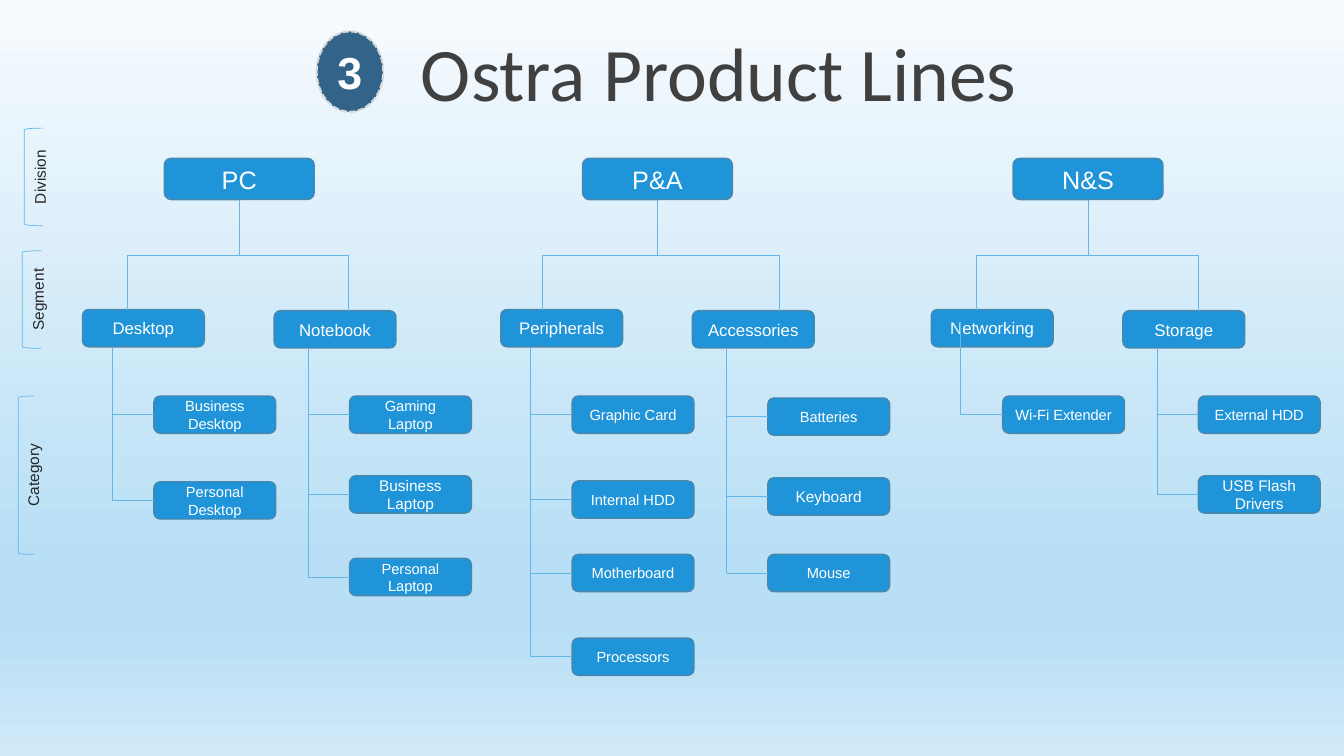
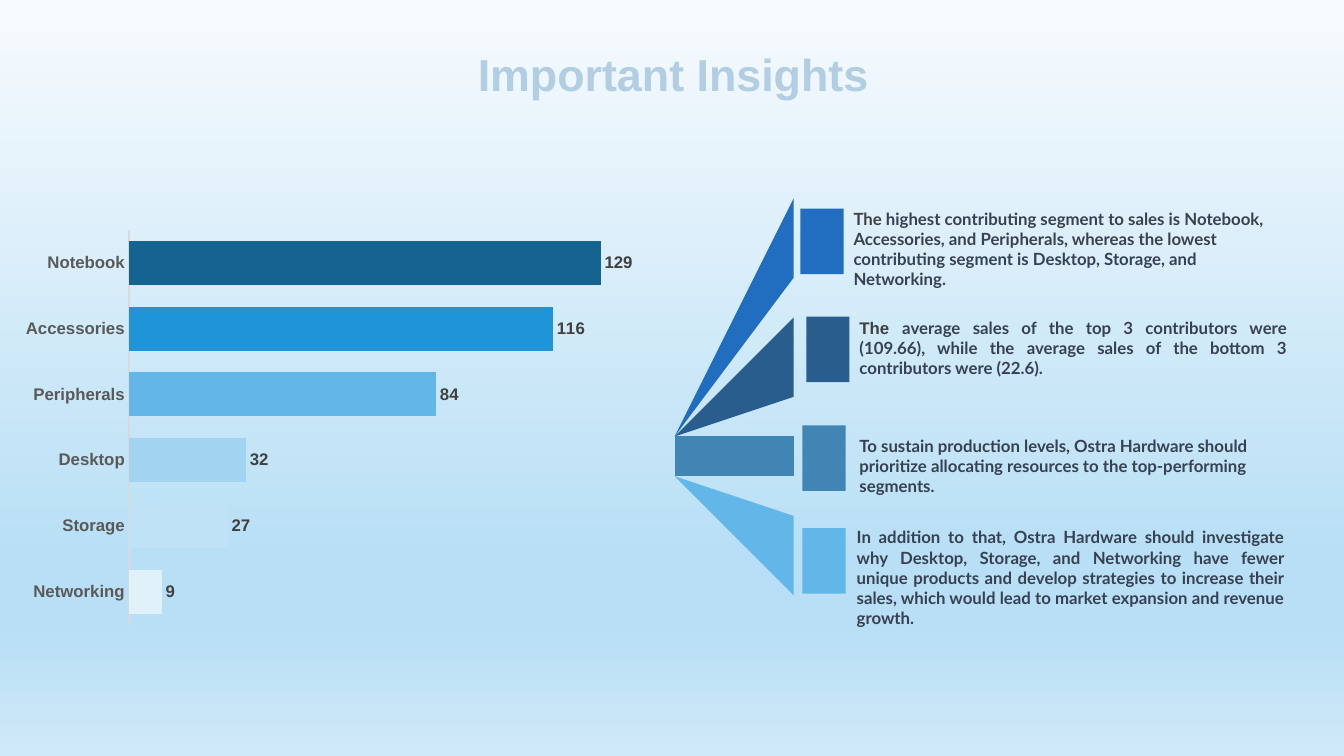
import copy

import lxml.etree
import pptx
import pptx.chart.data
import pptx.dml.color
import pptx.enum.chart
import pptx.enum.shapes
import pptx.enum.text
import pptx.oxml.ns
import pptx.util

Cm = pptx.util.Cm
Pt = pptx.util.Pt
qn = pptx.oxml.ns.qn
SHAPE = pptx.enum.shapes.MSO_SHAPE
ALIGN = pptx.enum.text.PP_ALIGN
ANCHOR = pptx.enum.text.MSO_ANCHOR

BLUE = "2094D8"
SKY = "62B7E8"
STEEL = "4185B5"
BADGE = "316488"
GREY = "404040"
SLATE = "374151"
PALE_GREY = "D9D9D9"
WHITE = "FFFFFF"
BACKGROUND_STOPS = [(0, "F7FBFE"), (0.74, "B8DFF5"), (0.83, "B8DFF5"), (1, "D0E9F8")]


def color(value):
    return pptx.dml.color.RGBColor.from_string(value)


def add_item(slide, kind, frame, runs=(), fill=None, line=None, align=ALIGN.CENTER, anchor=ANCHOR.MIDDLE):
    place = [Cm(length) for length in frame]
    if kind is None:
        shape = slide.shapes.add_textbox(*place)
    else:
        shape = slide.shapes.add_shape(kind, *place)
        shape.shadow.inherit = False
        if fill:
            shape.fill.solid()
            shape.fill.fore_color.rgb = color(fill)
        else:
            shape.fill.background()
        if line:
            shape.line.color.rgb = color(line[0])
            shape.line.width = Pt(line[1])
        else:
            shape.line.fill.background()
    text_frame = shape.text_frame
    text_frame.word_wrap = True
    text_frame.vertical_anchor = anchor
    paragraph = text_frame.paragraphs[0]
    paragraph.alignment = align
    for text, name, size, tint, bold in runs:
        run = paragraph.add_run()
        run.text = text
        for attribute, value in {"name": name, "size": Pt(size), "bold": bold}.items():
            setattr(run.font, attribute, value)
        run.font.color.rgb = color(tint)
    return shape


presentation = pptx.Presentation()
presentation.slide_width = Cm(33.87)
presentation.slide_height = Cm(19.05)

master = presentation.slide_master
background = master.background.fill
background.gradient()
background.gradient_angle = 270
stop_list = master.element.find(".//" + qn("a:gsLst"))
while len(stop_list) < len(BACKGROUND_STOPS):
    stop_list.append(copy.deepcopy(stop_list[0]))
for stop, (position, tint) in zip(background.gradient_stops, BACKGROUND_STOPS):
    stop.color.rgb = color(tint)
    stop.position = position

blank = presentation.slide_layouts[6]

slide = presentation.slides.add_slide(blank)
add_item(slide, None, (10.36, 0.53, 17.02, 2.57), [("Ostra Product Lines", "Calibri", 54, GREY, False)],
         align=ALIGN.LEFT, anchor=ANCHOR.TOP)
badge = add_item(slide, SHAPE.OVAL, (7.98, 0.79, 1.68, 2.03), [("3", "Arial", 32, WHITE, True)],
                 fill=BADGE, line=(PALE_GREY, 1.5))
badge.line.dash_style = pptx.enum.dml.MSO_LINE.SQUARE_DOT
badge.text_frame.word_wrap = False
for margin in ("margin_left", "margin_top", "margin_right", "margin_bottom"):
    setattr(badge.text_frame, margin, 0)

levels = [
    ("Division", 0.61, 3.23, 0.48, 2.46, 0.5),
    ("Segment", 0.56, 6.32, 0.48, 2.46, 0.45),
    ("Category", 0.46, 9.98, 0.41, 3.99, 0.33),
]
for name, left, top, width, height, label_left in levels:
    add_item(slide, SHAPE.LEFT_BRACKET, (left, top, width, height), line=(SKY, 0.5))
    label = add_item(slide, None, (label_left, top, 1, height), [(name, "Arial", 11, "262626", False)])
    label.text_frame._txBody.bodyPr.set("vert", "vert270")

DIVISION_TOP, DIVISION_WIDTH, DIVISION_HEIGHT = 3.99, 3.78, 1.04
BOX_WIDTH, BOX_HEIGHT = 3.07, 0.94
BUS_Y = 6.43
SIDES = [
    {"shift": -2.06, "top": 7.8, "trunk": 0.74, "leaf": 1.8},
    {"shift": 2.77, "top": 7.83, "trunk": 0.86, "leaf": 1.9},
]
divisions = [
    ("PC", 4.14, [
        ("Desktop", 3.2, 8.74, [("Business Desktop", 9.98, 10.5), ("Personal Desktop", 12.14, 10.5)]),
        ("Notebook", 8.79, 8.77, [("Gaming Laptop", 9.98, 10.5), ("Business Laptop", 11.99, 11),
                                  ("Personal Laptop", 14.07, 10.5)]),
    ]),
    ("P&A", 14.68, [
        ("Peripherals", 13.67, 8.74, [("Graphic Card", 9.98, 10.5), ("Internal HDD", 12.12, 10.5),
                                      ("Motherboard", 13.97, 10.5), ("Processors", 16.08, 10.5)]),
        ("Accessories", 19.63, 8.77, [("Batteries", 10.03, 10.5), ("Keyboard", 12.04, 11),
                                      ("Mouse", 13.97, 10.5)]),
    ]),
    ("N&S", 25.53, [
        ("Networking", 24.61, 8.13, [("Wi-Fi Extender", 9.98, 10.5)]),
        ("Storage", 30.2, 8.77, [("External HDD", 9.98, 10.5), ("USB Flash Drivers", 11.99, 11)]),
    ]),
]
box_style = {"fill": BLUE, "line": ("4987AC", 1)}
links = []
for name, left, segments in divisions:
    division = add_item(slide, SHAPE.ROUNDED_RECTANGLE, (left, DIVISION_TOP, DIVISION_WIDTH, DIVISION_HEIGHT),
                        [(name, "Arial", 18, WHITE, False)], **box_style)
    middle = left + DIVISION_WIDTH / 2
    links.append(((middle, DIVISION_TOP + DIVISION_HEIGHT, middle, BUS_Y), division, None))
    links.append(((segments[0][1], BUS_Y, segments[1][1], BUS_Y), None, None))
    for (segment, drop_x, trunk_top, leaves), side in zip(segments, SIDES):
        segment_left = left + side["shift"]
        add_item(slide, SHAPE.ROUNDED_RECTANGLE, (segment_left, side["top"], BOX_WIDTH, BOX_HEIGHT),
                 [(segment, "Arial", 12, WHITE, False)], **box_style)
        links.append(((drop_x, BUS_Y, drop_x, side["top"]), None, None))
        trunk_x = segment_left + side["trunk"]
        leaf_left = segment_left + side["leaf"]
        for text, top, size in leaves:
            leaf = add_item(slide, SHAPE.ROUNDED_RECTANGLE, (leaf_left, top, BOX_WIDTH, BOX_HEIGHT),
                            [(text, "Arial", size, WHITE, False)], **box_style)
            leaf_y = top + BOX_HEIGHT / 2
            links.append(((trunk_x, leaf_y, leaf_left, leaf_y), None, leaf))
        links.append(((trunk_x, trunk_top, trunk_x, leaf_y), None, None))

for ends, start_box, end_box in links:
    connector = slide.shapes.add_connector(pptx.enum.shapes.MSO_CONNECTOR.STRAIGHT, *[Cm(end) for end in ends])
    connector.line.color.rgb = color(SKY)
    connector.line.width = Pt(0.5)
    lxml.etree.SubElement(connector._element.spPr, qn("a:effectLst"))
    if start_box is not None:
        connector.begin_connect(start_box, 2)
    if end_box is not None:
        connector.end_connect(end_box, 1)

slide = presentation.slides.add_slide(blank)
title = add_item(slide, None, (0.89, 0.94, 32.16, 2.01), [("Important Insights", "Arial", 32, "B1CEE3", True)])
title.text_frame.paragraphs[0].line_spacing = 0.9

FAN_X, TIP_HEIGHT = 16.92, 0.15
FLAG_WIDTH, FLAG_HEIGHT = 1.09, 1.65
insights = [
    ("216EC1", 20.17, 5.26, 10.57, (21.26, 5.13, 11.28, 2.31), ALIGN.LEFT, [
        ("The ", "Lato", 12, GREY, True),
        ("highest contributing segment to sales is Notebook, Accessories, and Peripherals, whereas the lowest "
         "contributing segment is Desktop, Storage, and Networking.", "Lato", 12, SLATE, True)]),
    ("285D8D", 20.32, 7.98, 11.07, (21.41, 7.87, 11.28, 1.8), ALIGN.JUSTIFY, [
        ("The ", "Arial", 12, GREY, True),
        ("average sales of the top 3 contributors were (109.66), while the average sales of the bottom 3 "
         "contributors were (22.6).", "Lato", 12, SLATE, True)]),
    (STEEL, 20.22, 10.72, 11.46, (21.41, 10.85, 10.92, 1.8), ALIGN.LEFT, [
        ("To sustain production levels, Ostra Hardware should prioritize allocating resources to the "
         "top-performing segments.", "Lato", 12, SLATE, True)]),
    (SKY, 20.22, 13.31, 11.71, (21.34, 13.16, 11.28, 2.31), ALIGN.JUSTIFY, [
        ("In addition to that, Ostra Hardware should investigate why Desktop, Storage, and Networking have fewer "
         "unique products and develop strategies to increase their sales, which would lead to market expansion "
         "and revenue growth.", "Lato", 12, SLATE, True)]),
]
for tint, left, top, tip_y, frame, align, runs in insights:
    add_item(slide, SHAPE.RECTANGLE, (left, top, FLAG_WIDTH, FLAG_HEIGHT), fill=tint)
    builder = slide.shapes.build_freeform(FAN_X, tip_y, scale=Cm(1))
    builder.add_line_segments([(left, top), (left, top + FLAG_HEIGHT), (FAN_X, tip_y + TIP_HEIGHT)])
    wedge = builder.convert_to_shape()
    wedge.shadow.inherit = False
    wedge.fill.solid()
    wedge.fill.fore_color.rgb = color(tint)
    wedge.line.fill.background()
    add_item(slide, None, frame, runs, align=align, anchor=ANCHOR.TOP)

segment_sales = [
    ("Notebook", 129, "156390"),
    ("Accessories", 116, BLUE),
    ("Peripherals", 84, SKY),
    ("Desktop", 32, "A1D4F1"),
    ("Storage", 27, "C0E2F6"),
    ("Networking", 9, "E0F1FA"),
]
chart_data = pptx.chart.data.CategoryChartData()
chart_data.categories = [name for name, sales, tint in segment_sales]
chart_data.add_series("Series 1", [sales for name, sales, tint in segment_sales])
chart = slide.shapes.add_chart(pptx.enum.chart.XL_CHART_TYPE.BAR_CLUSTERED, Cm(0.38), Cm(4.85), Cm(15.93),
                               Cm(11.84), chart_data).chart
chart.has_legend = False
chart.has_title = False

category_axis = chart.category_axis
category_axis.reverse_order = True
category_axis.major_tick_mark = pptx.enum.chart.XL_TICK_MARK.NONE
category_axis.format.line.color.rgb = color(PALE_GREY)
category_axis.format.line.width = Pt(1)
value_axis = chart.value_axis
for attribute, value in {"visible": False, "has_major_gridlines": False,
                         "minimum_scale": 0, "maximum_scale": 140}.items():
    setattr(value_axis, attribute, value)

plot = chart.plots[0]
plot.gap_width = 50
plot.overlap = -20
plot.vary_by_categories = False
plot.has_data_labels = True
plot.data_labels.show_value = True
plot.data_labels.position = pptx.enum.chart.XL_LABEL_POSITION.OUTSIDE_END
for font, size, tint, bold in [
    (chart.font, 10, "000000", False),
    (category_axis.tick_labels.font, 12, "595959", True),
    (plot.data_labels.font, 12, GREY, True),
]:
    for attribute, value in {"name": "Arial", "size": Pt(size), "bold": bold}.items():
        setattr(font, attribute, value)
    font.color.rgb = color(tint)
for index, (name, sales, tint) in enumerate(segment_sales):
    bar_fill = plot.series[0].points[index].format.fill
    bar_fill.solid()
    bar_fill.fore_color.rgb = color(tint)

plot_area = chart._chartSpace.find(".//" + qn("c:plotArea"))
for layout in plot_area.findall(qn("c:layout")):
    plot_area.remove(layout)
layout = lxml.etree.Element(qn("c:layout"))
plot_area.insert(0, layout)
manual = lxml.etree.SubElement(layout, qn("c:manualLayout"))
for tag, value in [("layoutTarget", "inner"), ("xMode", "edge"), ("yMode", "edge"),
                   ("x", "0.18"), ("y", "0.08"), ("w", "0.81"), ("h", "0.84")]:
    lxml.etree.SubElement(manual, qn("c:" + tag)).set("val", value)

presentation.save("out.pptx")
